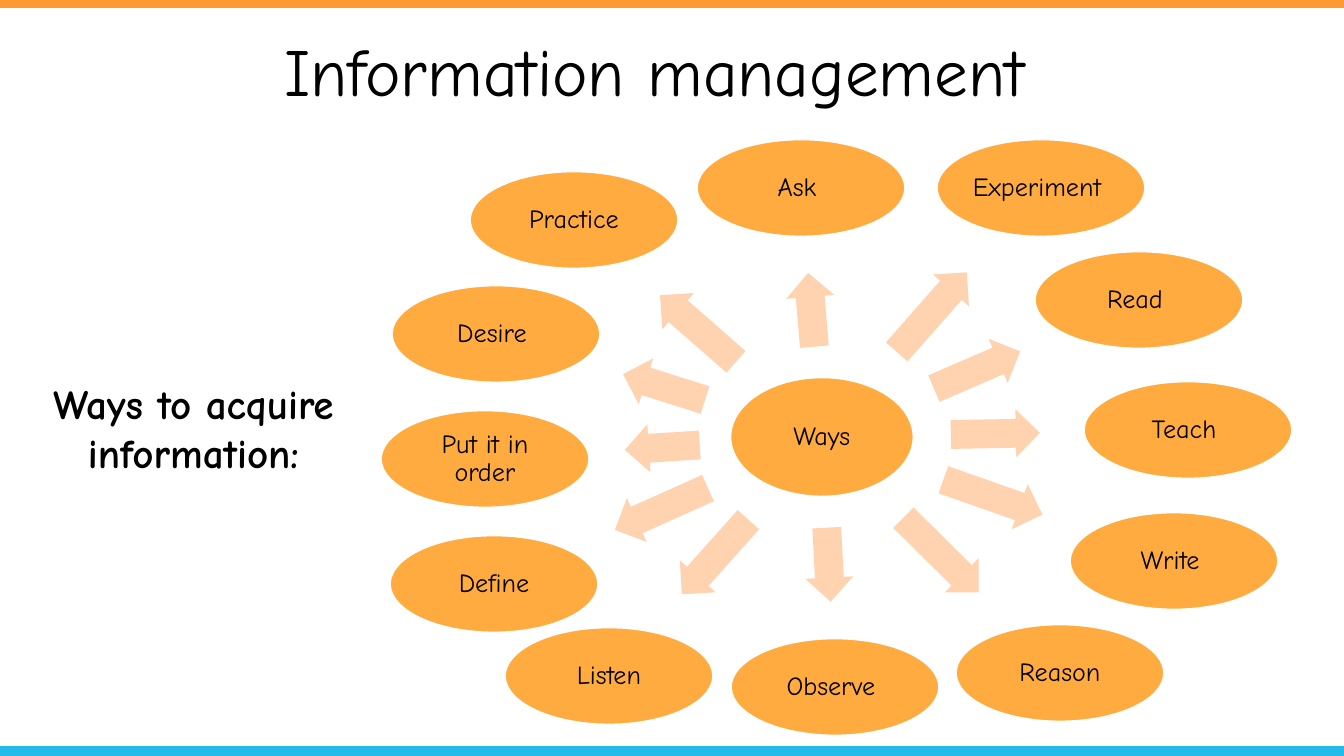
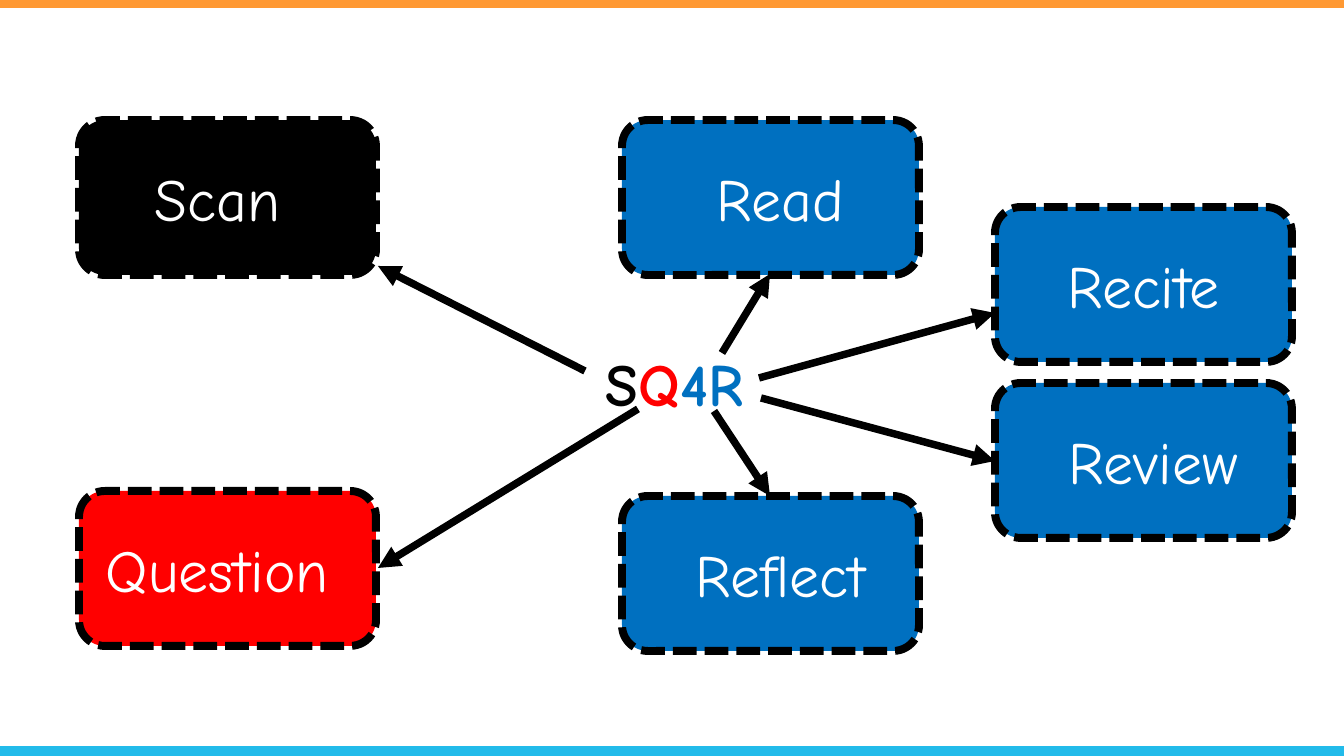
"""Build two study-skills slides: ways to acquire information, and SQ4R."""
import math
from dataclasses import dataclass

from lxml import etree
from pptx import Presentation
from pptx import util as u
from pptx.dml.color import RGBColor
from pptx.enum import dml, shapes, text
from pptx.oxml import ns

PX = 914400 / 134.4
WIDTH, HEIGHT = 1344, 756
INSET = 2


@dataclass(frozen=True)
class Theme:
    font: str = "Comic Neue"
    black: str = "000000"
    white: str = "FFFFFF"
    red: str = "FF0000"
    blue: str = "0070C0"
    top_band: str = "FF9933"
    bottom_band: str = "22BBEA"
    bubble: str = "FFAB40"
    arrow: str = "FFD2B0"
    title_size: int = 36
    step_size: int = 32
    label_size: int = 22
    bubble_size: int = 14


THEME = Theme()

WAYS_CENTER, WAYS_SIZE, WAY_SIZE = (822, 437), (185, 121), (210, 99)
WAYS = [
    ("Ask", 801, 188, -4),
    ("Experiment", 1041, 188, -4),
    ("Read", 1139, 300, -4),
    ("Teach", 1188, 430, -4),
    ("Write", 1174, 561, -4),
    ("Reason", 1060, 673, 0),
    ("Observe", 835, 687, -4),
    ("Listen", 609, 676, 0),
    ("Define", 494, 584, 0),
    ("Put it in order", 485, 459, 0),
    ("Desire", 496, 334, -4),
    ("Practice", 574, 220, 0),
]
STEP_SIZE = (297, 155)
STEPS = [
    ("Question", 79, 491, THEME.red, -10),
    ("Scan", 79, 120, THEME.black, -10),
    ("Read", 622, 120, THEME.blue, 10),
    ("Recite", 995, 207, THEME.blue, 0),
    ("Review", 995, 383, THEME.blue, 10),
    ("Reflect", 622, 496, THEME.blue, 10),
]
STEP_ARROWS = [
    (585, 371, 378, 266),
    (638, 409, 378, 568),
    (714, 411, 770, 496),
    (761, 398, 995, 461),
    (759, 378, 995, 313),
    (722, 353, 770, 274),
]


def px(length):
    return u.Emu(round(length * PX))


def rgb(value):
    return RGBColor.from_string(value)


def style(paragraph, size, color=None, bold=False):
    paragraph.alignment = text.PP_ALIGN.CENTER
    paragraph.font.name = THEME.font
    paragraph.font.size = u.Pt(size)
    paragraph.font.bold = bold
    if color:
        paragraph.font.color.rgb = rgb(color)


def add_solid(slide, kind, left, top, width, height, fill, outline=None, weight=0):
    solid = slide.shapes.add_shape(kind, px(left), px(top), px(width), px(height))
    solid.shadow.inherit = False
    solid.fill.solid()
    solid.fill.fore_color.rgb = rgb(fill)
    if outline:
        solid.line.color.rgb = rgb(outline)
        solid.line.width = u.Pt(weight)
    else:
        solid.line.fill.background()
    return solid


def write_inside(solid, wording, size, color, nudge=0):
    frame = solid.text_frame
    frame.word_wrap = True
    frame.vertical_anchor = text.MSO_ANCHOR.MIDDLE
    frame.margin_top = frame.margin_bottom = px(INSET)
    frame.margin_left = px(INSET + 2 * max(nudge, 0))
    frame.margin_right = px(INSET + 2 * max(-nudge, 0))
    paragraph = frame.paragraphs[0]
    paragraph.text = wording
    style(paragraph, size, color)
    return paragraph


def add_heading(slide, left, top, width, height, pieces, size, bold=False):
    frame = slide.shapes.add_textbox(px(left), px(top), px(width), px(height)).text_frame
    frame.word_wrap = True
    paragraph = frame.paragraphs[0]
    style(paragraph, size, pieces[0][1] if len(pieces) == 1 else None, bold)
    for wording, color in pieces:
        run = paragraph.add_run()
        run.text = wording
        if len(pieces) > 1:
            run.font.color.rgb = rgb(color)


def add_bubble(slide, wording, center, size, nudge=0):
    (x, y), (width, height) = center, size
    bubble = add_solid(slide, shapes.MSO_SHAPE.OVAL, x - width / 2, y - height / 2,
                       width, height, THEME.bubble, THEME.white, 2)
    paragraph = write_inside(bubble, wording, THEME.bubble_size, THEME.black, nudge)
    paragraph.line_spacing = 0.9


def edge_distance(size, angle):
    """Distance from an ellipse's center to its edge in one direction."""
    width, height = size
    return 1 / math.hypot(2 * math.cos(angle) / width, 2 * math.sin(angle) / height)


def add_way_arrow(slide, way_center):
    """Point a block arrow from the hub through the gap towards a way."""
    x, y = WAYS_CENTER
    dx, dy = way_center[0] - x, way_center[1] - y
    angle = math.atan2(dy, dx)
    start = edge_distance(WAYS_SIZE, angle)
    gap = math.hypot(dx, dy) - start - edge_distance(WAY_SIZE, angle)
    length, thickness, middle = round(0.53 * gap), 48, start + 0.48 * gap
    arrow = add_solid(slide, shapes.MSO_SHAPE.RIGHT_ARROW,
                      x + middle * math.cos(angle) - length / 2,
                      y + middle * math.sin(angle) - thickness / 2,
                      length, thickness, THEME.arrow)
    arrow.adjustments[0], arrow.adjustments[1] = 0.6, 0.5
    arrow.rotation = math.degrees(angle) % 360


def add_step(slide, wording, left, top, fill, nudge):
    step = add_solid(slide, shapes.MSO_SHAPE.ROUNDED_RECTANGLE, left, top, *STEP_SIZE,
                     fill, THEME.black, 4.25)
    step.line.dash_style = dml.MSO_LINE.SQUARE_DOT
    write_inside(step, wording, THEME.step_size, THEME.white, nudge)


def add_step_arrow(slide, *ends):
    arrow = slide.shapes.add_connector(shapes.MSO_CONNECTOR.STRAIGHT, *map(px, ends))
    arrow.line.color.rgb = rgb(THEME.black)
    arrow.line.width = u.Pt(4)
    etree.SubElement(arrow.line._get_or_add_ln(), ns.qn("a:tailEnd"), type="triangle")
    etree.SubElement(arrow._element.spPr, ns.qn("a:effectLst"))


def add_banded_slide(deck):
    slide = deck.slides.add_slide(deck.slide_layouts[6])
    for top, height, fill in ((746, 10, THEME.bottom_band), (0, 8, THEME.top_band)):
        add_solid(slide, shapes.MSO_SHAPE.RECTANGLE, 0, top, WIDTH, height, fill)
    return slide


def build_ways(deck):
    slide = add_banded_slide(deck)
    add_heading(slide, 75, 23, 1159, 90, [("Information management", THEME.black)],
                THEME.title_size)
    add_heading(slide, 0, 372, 387, 132, [("Ways to acquire information:", THEME.black)],
                THEME.label_size, bold=True)
    add_bubble(slide, "Ways", WAYS_CENTER, WAYS_SIZE)
    for way, x, y, nudge in WAYS:
        add_way_arrow(slide, (x, y))
        add_bubble(slide, way, (x, y), WAY_SIZE, nudge)


def build_sq4r(deck):
    slide = add_banded_slide(deck)
    letters = [("S", THEME.black), ("Q", THEME.red), ("4R", THEME.blue)]
    add_heading(slide, 79, 340, 1191, 87, letters, THEME.step_size, bold=True)
    for step in STEPS:
        add_step(slide, *step)
    for ends in STEP_ARROWS:
        add_step_arrow(slide, *ends)


def main():
    deck = Presentation()
    deck.slide_width, deck.slide_height = px(WIDTH), px(HEIGHT)
    build_ways(deck)
    build_sq4r(deck)
    deck.save("out.pptx")


if __name__ == "__main__":
    main()
